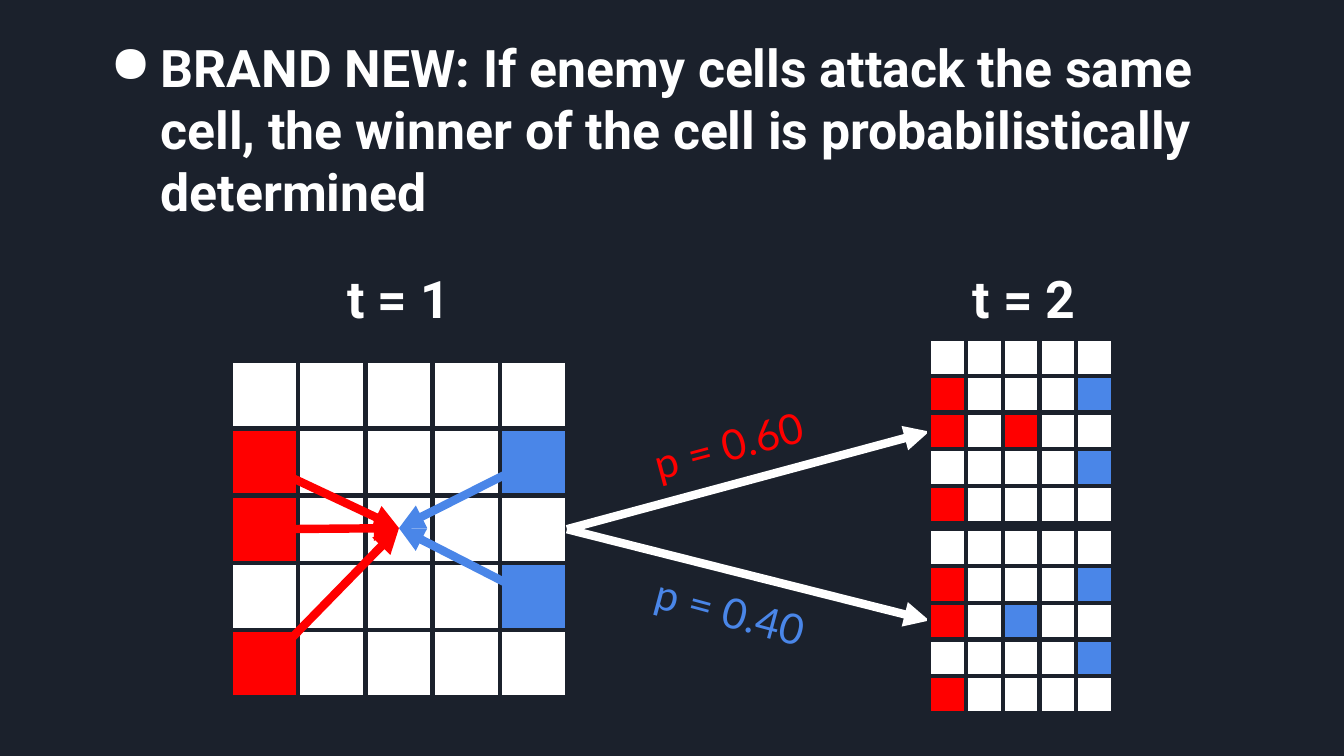
from dataclasses import dataclass

from lxml import etree
from pptx import Presentation
from pptx import util as u
from pptx.dml.color import RGBColor
from pptx.enum import shapes, text
from pptx.oxml import ns


@dataclass(frozen=True)
class Theme:
    dark: str = "1B212C"
    white: str = "FFFFFF"
    red: str = "FF0000"
    blue: str = "4A86E8"
    heading_font: str = "Roboto"
    label_font: str = "Lato"
    heading_size: int = 37
    label_size: int = 30
    cell_line: int = 3
    arrow_line: int = 6


def px(length):
    return u.Emu(length * 9525)


def rgb(color):
    return RGBColor.from_string(color)


def write_text(para, words, *, font, size, color, bold=False, align=None):
    span = para.add_run()
    span.text = words
    span.font.name = font
    span.font.size = u.Pt(size)
    span.font.bold = bold
    span.font.color.rgb = rgb(color)
    para.alignment = align


class SlideBuilder:
    def __init__(self, deck, theme):
        self.theme = theme
        self.page = deck.slides.add_slide(deck.slide_layouts[6])
        self.page.background.fill.solid()
        self.page.background.fill.fore_color.rgb = rgb(theme.dark)

    def text_box(self, left, top, width, height, words, *, rotation=0, bullet=None, **style):
        box = self.page.shapes.add_textbox(px(left), px(top), px(width), px(height))
        box.rotation = rotation
        frame = box.text_frame
        frame.word_wrap = True
        frame.auto_size = text.MSO_AUTO_SIZE.SHAPE_TO_FIT_TEXT
        frame.margin_left = frame.margin_right = px(10)
        frame.margin_top = frame.margin_bottom = px(10)
        para = frame.paragraphs[0]
        write_text(para, words, **style)
        if bullet:
            self.add_bullet(para, bullet, style["color"])

    def add_bullet(self, para, bullet, color):
        props = para._p.get_or_add_pPr()
        props.set("marL", str(px(48)))
        props.set("indent", str(-px(48)))
        bullet_color = etree.SubElement(props, ns.qn("a:buClr"))
        etree.SubElement(bullet_color, ns.qn("a:srgbClr"), val=color)
        etree.SubElement(props, ns.qn("a:buChar"), char=bullet)

    def heading(self, left, top, width, height, words, **options):
        self.text_box(left, top, width, height, words, font=self.theme.heading_font,
                      size=self.theme.heading_size, color=self.theme.white,
                      bold=True, **options)

    def probability(self, left, top, width, height, words, color, rotation):
        self.text_box(left, top, width, height, words, font=self.theme.label_font,
                      size=self.theme.label_size, color=color, rotation=rotation,
                      align=text.PP_ALIGN.CENTER)

    def grid(self, left, top, size, rows, grouped=True):
        """Draw rows of cells: R is red, B is blue, a dot is empty."""
        fills = {"R": self.theme.red, "B": self.theme.blue, ".": self.theme.white}
        owner = self.page.shapes.add_group_shape() if grouped else self.page
        for column in range(len(rows[0])):
            for row, marks in enumerate(rows):
                cell = owner.shapes.add_shape(
                    shapes.MSO_SHAPE.RECTANGLE,
                    px(left + column * size), px(top + row * size), px(size), px(size))
                cell.shadow.inherit = False
                cell.fill.solid()
                cell.fill.fore_color.rgb = rgb(fills[marks[column]])
                cell.line.color.rgb = rgb(self.theme.dark)
                cell.line.width = u.Pt(self.theme.cell_line)

    def arrow(self, start, end, color):
        arrow = self.page.shapes.add_connector(
            shapes.MSO_CONNECTOR.STRAIGHT, *map(px, start + end))
        arrow.line.color.rgb = rgb(color)
        arrow.line.width = u.Pt(self.theme.arrow_line)
        etree.SubElement(arrow.line._get_or_add_ln(), ns.qn("a:tailEnd"), type="triangle")
        etree.SubElement(arrow._element.spPr, ns.qn("a:effectLst"))


def main():
    deck = Presentation()
    deck.slide_width, deck.slide_height = px(1280), px(720)
    theme = Theme()
    slide = SlideBuilder(deck, theme)
    center = text.PP_ALIGN.CENTER

    # Board before the attack
    slide.grid(220, 344, 64, [".....", "R...B", "R....", "....B", "R...."], grouped=False)

    # Rule and time headings
    slide.heading(95, 24, 1069, 199,
                  "BRAND NEW: If enemy cells attack the same cell, the winner of the cell "
                  "is probabilistically determined", bullet="●")
    for left, words in ((318, "t = 1"), (914, "t = 2")):
        slide.heading(left, 244, 123, 79, words, align=center)

    # Arrows to the two outcomes
    for outcome_y in (411, 591):
        slide.arrow((540, 504), (885, outcome_y), theme.white)

    # Boards after the attack, one for each winner of the contested cell
    for top, winner in ((323, "R"), (504, "B")):
        slide.grid(885, top, 35, [".....", "R...B", f"R.{winner}..", "....B", "R...."])

    # Attacks on the contested cell
    attacks = {
        theme.red: [(246, 440), (257, 504), (256, 630)],
        theme.blue: [(503, 441), (505, 567)],
    }
    for color, starts in attacks.items():
        for start in starts:
            slide.arrow(start, (380, 503), color)

    # Outcome probabilities
    slide.probability(598, 389, 191, 68, "p = 0.60", theme.red, -15)
    slide.probability(608, 548, 175, 68, "p = 0.40", theme.blue, 15)

    deck.save("out.pptx")


if __name__ == "__main__":
    main()
